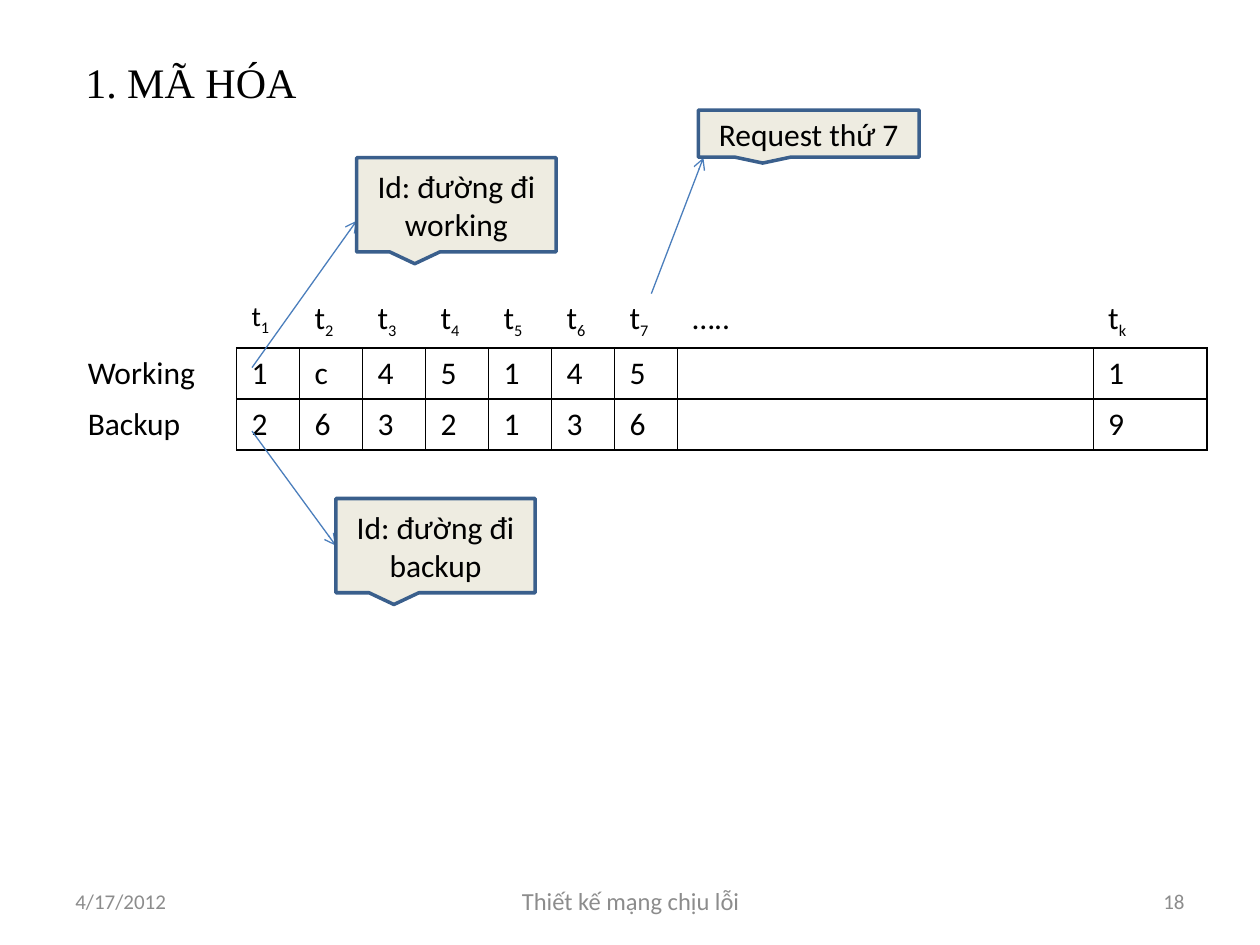
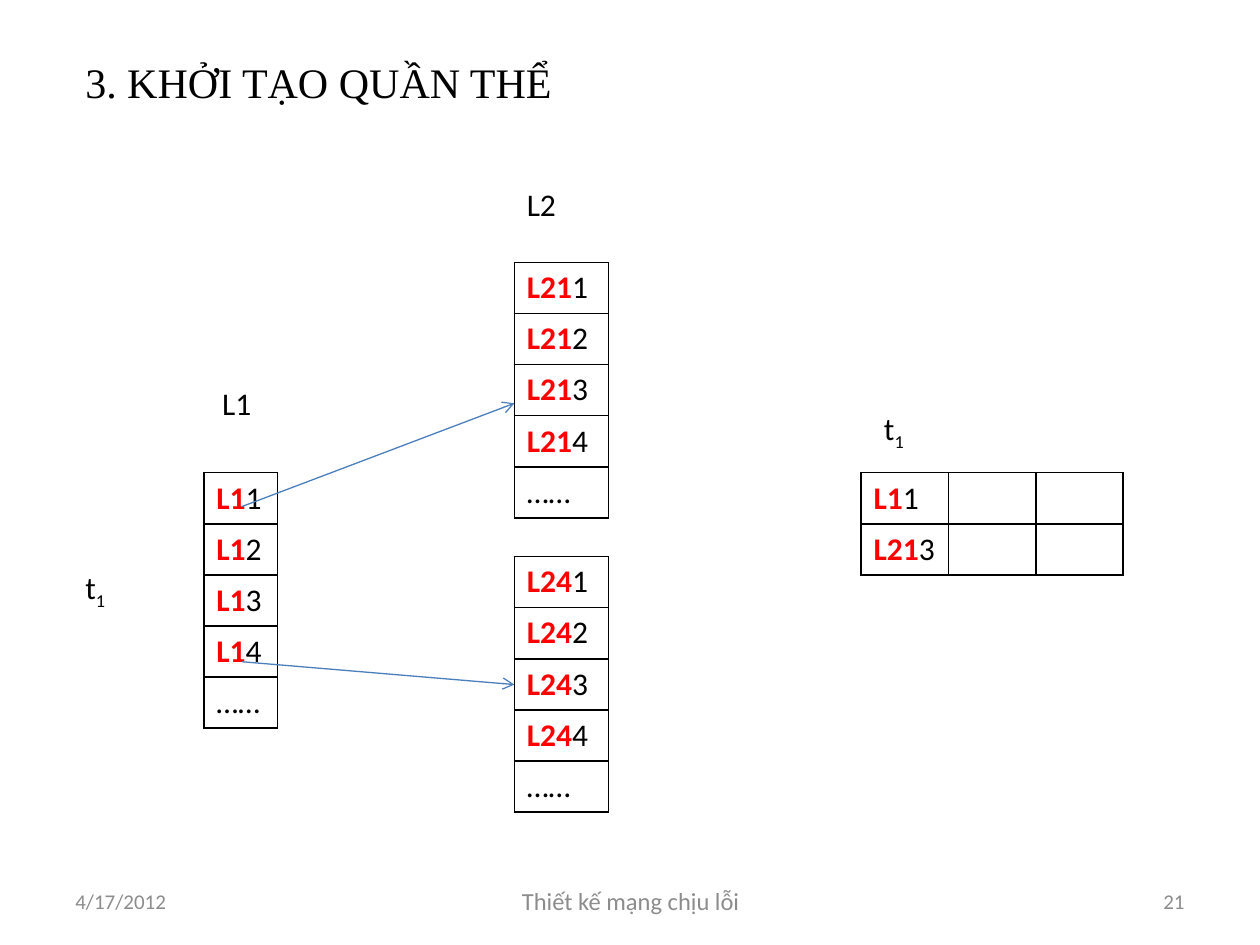
"""Build two slides on encoding and population initialisation for fault-tolerant network design."""
from dataclasses import dataclass
from typing import Any

from lxml import etree
from pptx import Presentation
from pptx.dml.color import RGBColor
from pptx.enum.shapes import MSO_CONNECTOR, MSO_SHAPE
from pptx.enum.text import MSO_ANCHOR, MSO_AUTO_SIZE, PP_ALIGN
from pptx.oxml.ns import qn
from pptx.slide import Slide
from pptx.util import Cm, Pt

STRAIGHT = MSO_CONNECTOR.STRAIGHT
CALLOUT = MSO_SHAPE.RECTANGULAR_CALLOUT
TOP, MIDDLE = MSO_ANCHOR.TOP, MSO_ANCHOR.MIDDLE
GROW = MSO_AUTO_SIZE.SHAPE_TO_FIT_TEXT
LEFT, CENTER, RIGHT = PP_ALIGN.LEFT, PP_ALIGN.CENTER, PP_ALIGN.RIGHT

COLORS = {
    "text": "000000",
    "key": "FF0000",
    "muted": "8C8C8C",
    "arrow": "4B7EBC",
    "callout": "EEECE1",
    "outline": "3A5F8C",
    "border": "000000",
}
BODY_FONT = "Calibri"
TITLE_FONT = "Times New Roman"
ROW_HEIGHT = 1.03
BORDER_WIDTH = 1
DATE = "4/17/2012"
FOOTER = "Thiết kế mạng chịu lỗi"


@dataclass(frozen=True)
class Span:
    """A piece of text with one format."""

    text: str
    size: float = 18
    color: str = "text"
    bold: bool = False
    font: str = BODY_FONT
    baseline: int = 0


Spans = tuple[Span, ...]


@dataclass(frozen=True)
class Area:
    """A rectangle in centimetres."""

    left: float
    top: float
    width: float
    height: float

    def lengths(self) -> tuple[Cm, Cm, Cm, Cm]:
        """Return the rectangle as slide lengths."""
        return Cm(self.left), Cm(self.top), Cm(self.width), Cm(self.height)


@dataclass(frozen=True)
class Arrow:
    """A straight arrow between two points in centimetres."""

    start: tuple[float, float]
    end: tuple[float, float]


@dataclass(frozen=True)
class Callout:
    """A captioned callout and the arrow that leads to it."""

    caption: str
    area: Area
    arrow: Arrow


@dataclass(frozen=True)
class Grid:
    """A bordered table, optionally with an unboxed heading row and column."""

    left: float
    top: float
    widths: list[float]
    rows: list[list[Spans]]
    headed: bool = False
    side_margin: float = 0.25


def rgb(name: str) -> RGBColor:
    """Look up a named colour."""
    return RGBColor.from_string(COLORS[name])


def apply(target: Any, values: dict[str, Any]) -> None:
    """Set every attribute in a dict of format values."""
    for name, value in values.items():
        setattr(target, name, value)


def plain(text: str) -> Spans:
    """Return body text as spans."""
    return (Span(text),) if text else ()


def indexed(index: str, size: float = 18) -> Spans:
    """Return the letter t with a subscript."""
    return Span("t", size), Span(index, 16 if size == 18 else size, baseline=-25000)


def keyed(key: str, number: int) -> Spans:
    """Return a red path key followed by its number."""
    return Span(key, color="key", bold=True), Span(str(number))


def write(frame: Any, spans: Spans, align: Any = LEFT) -> None:
    """Write spans into the first paragraph of a text frame."""
    para = frame.paragraphs[0]
    para.alignment = align
    for item in spans:
        span = para.add_run()
        span.text = item.text
        apply(span.font, {"name": item.font, "size": Pt(item.size), "bold": item.bold})
        span.font.color.rgb = rgb(item.color)
        if item.baseline:
            span.font._element.set("baseline", str(item.baseline))


def add_text(page: Slide, area: Area, spans: Spans, align: Any = LEFT, grow: bool = False) -> None:
    """Add a wrapping text box."""
    frame = page.shapes.add_textbox(*area.lengths()).text_frame
    apply(frame, {"word_wrap": True, "vertical_anchor": TOP if grow else MIDDLE})
    if grow:
        frame.auto_size = GROW
    write(frame, spans, align)


def add_arrow(page: Slide, arrow: Arrow) -> None:
    """Add a thin line with an open arrowhead."""
    points = [Cm(value) for value in (*arrow.start, *arrow.end)]
    line = page.shapes.add_connector(STRAIGHT, *points)
    line.line.width = Pt(0.75)
    line.line.color.rgb = rgb("arrow")
    etree.SubElement(line.line._get_or_add_ln(), qn("a:tailEnd"), type="arrow")
    etree.SubElement(line._element.spPr, qn("a:effectLst"))


def add_callout(page: Slide, callout: Callout) -> None:
    """Add a callout above its arrow."""
    add_arrow(page, callout.arrow)
    box = page.shapes.add_shape(CALLOUT, *callout.area.lengths())
    box.shadow.inherit = False
    box.fill.solid()
    box.fill.fore_color.rgb = rgb("callout")
    box.line.color.rgb = rgb("outline")
    box.line.width = Pt(2)
    apply(box.text_frame, {"word_wrap": True, "vertical_anchor": MIDDLE})
    write(box.text_frame, plain(callout.caption), CENTER)


def set_borders(cell: Any, sides: str) -> None:
    """Draw the listed sides of a cell and clear the others."""
    properties = cell._tc.get_or_add_tcPr()
    for side in "LRTB":
        line = etree.SubElement(properties, qn(f"a:ln{side}"), w=str(Pt(BORDER_WIDTH)))
        if side in sides:
            fill = etree.SubElement(line, qn("a:solidFill"))
            etree.SubElement(fill, qn("a:srgbClr"), val=COLORS["border"])
        else:
            etree.SubElement(line, qn("a:noFill"))


def visible_sides(row: int, column: int, headed: bool) -> str:
    """Choose the borders of a cell from its place in the grid."""
    if not headed or (row and column):
        return "LRTB"
    return "B" if column else "R" if row else ""


def add_grid(page: Slide, grid: Grid) -> None:
    """Add a table with plain cells and thin borders."""
    count = len(grid.rows)
    area = Area(grid.left, grid.top, sum(grid.widths), count * ROW_HEIGHT)
    table = page.shapes.add_table(count, len(grid.widths), *area.lengths()).table
    apply(table, {"first_row": False, "horz_banding": False})
    for column, width in zip(table.columns, grid.widths):
        column.width = Cm(width)
    margins = {"margin_left": Cm(grid.side_margin), "margin_right": Cm(grid.side_margin)}
    for row, cells in enumerate(grid.rows):
        table.rows[row].height = Cm(ROW_HEIGHT)
        for column, spans in enumerate(cells):
            cell = table.cell(row, column)
            apply(cell, margins)
            set_borders(cell, visible_sides(row, column, grid.headed))
            cell.fill.background()
            write(cell.text_frame, spans)


def add_page(deck: Any, title: str, number: int) -> Slide:
    """Add a page with the shared title and footer."""
    page = deck.slides.add_slide(deck.slide_layouts[6])
    add_text(page, Area(1.47, 0.76, 22.66, 1.78), (Span(title, 24, font=TITLE_FONT),))
    footers = [
        (1.27, 5.92, DATE, 12, LEFT),
        (8.69, 8.05, FOOTER, 14, CENTER),
        (18.21, 5.92, str(number), 12, RIGHT),
    ]
    for left, width, text, size, align in footers:
        add_text(page, Area(left, 17.65, width, 1.02), (Span(text, size, "muted"),), align)
    return page


def path_list(left: float, top: float, width: float, key: str) -> Grid:
    """Describe a column of four numbered paths and an ellipsis."""
    rows = [[keyed(key, number)] for number in range(1, 5)]
    return Grid(left, top, [width], rows + [[plain("……")]])


def add_encoding(deck: Any) -> None:
    """Add the page on encoding."""
    page = add_page(deck, "1. MÃ HÓA", 18)
    heads = [indexed(str(index), 16 if index == 1 else 18) for index in range(1, 8)]
    rows = [[(), *heads, plain("….."), indexed("k")]]
    for name, genes, last in (("Working", "1c45145", "1"), ("Backup", "2632136", "9")):
        rows.append([plain(text) for text in (name, *genes, "", last)])
    widths = [3.3] + [1.27] * 7 + [8.38, 2.29]
    add_grid(page, Grid(1.47, 5.92, widths, rows, headed=True, side_margin=0.3))
    callouts = [
        Callout("Id: đường đi working", Area(7.19, 3.18, 4.02, 1.9),
                Arrow((5.08, 7.41), (7.19, 4.45))),
        Callout("Id: đường đi backup", Area(6.77, 10.05, 4.02, 1.9),
                Arrow((5.08, 8.69), (6.77, 11))),
        Callout("Request thứ 7", Area(14.08, 2.22, 4.45, 0.95),
                Arrow((13.13, 5.92), (14.18, 3.18))),
    ]
    for callout in callouts:
        add_callout(page, callout)


def add_population(deck: Any) -> None:
    """Add the page on the initial population."""
    page = add_page(deck, "3. KHỞI TẠO QUẦN THỂ", 21)
    chosen = [[keyed("L1", 1), (), ()], [keyed("L21", 3), (), ()]]
    grids = [
        path_list(4.11, 9.53, 1.48, "L1"),
        path_list(10.37, 5.29, 1.9, "L21"),
        path_list(10.37, 11.22, 1.9, "L24"),
        Grid(17.36, 9.53, [1.76] * 3, chosen),
    ]
    for grid in grids:
        add_grid(page, grid)
    for arrow in (Arrow((4.88, 10.21), (10.37, 8.13)), Arrow((4.88, 13.34), (10.37, 13.8))):
        add_arrow(page, arrow)
    first_request = (Span("t"), Span("1", baseline=-25000))
    labels = [
        (4.23, 7.62, plain("L1")),
        (10.37, 3.6, plain("L2")),
        (17.57, 8.13, first_request),
        (1.47, 11.33, first_request),
    ]
    for left, top, spans in labels:
        add_text(page, Area(left, top, 1.4, ROW_HEIGHT), spans, grow=True)


def main() -> None:
    """Build and save the deck."""
    deck = Presentation()
    apply(deck, {"slide_width": Cm(25.4), "slide_height": Cm(19.05)})
    add_encoding(deck)
    add_population(deck)
    deck.save("out.pptx")


main()
